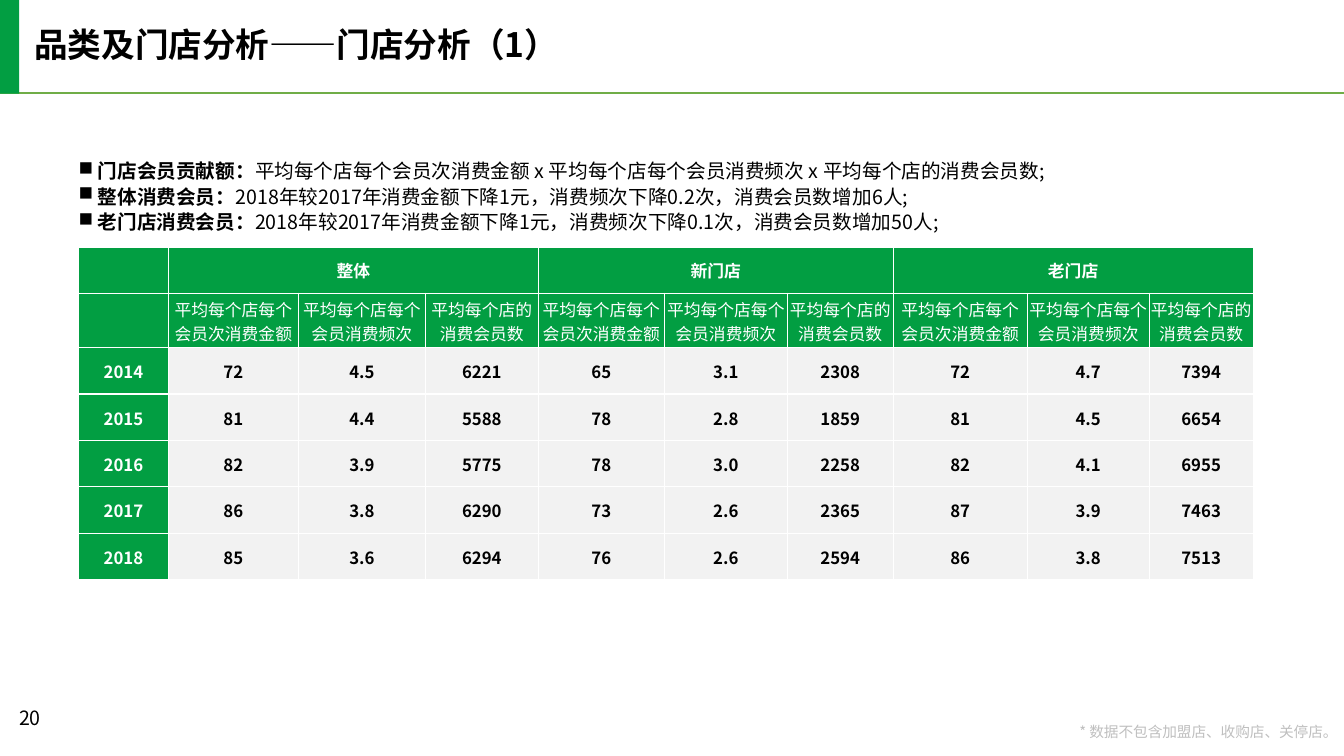
"""Build the store analysis slide with its member spending table."""
from dataclasses import dataclass
from typing import NamedTuple

from lxml.etree import SubElement
from pptx import Presentation
from pptx.dml.color import RGBColor
from pptx.enum.shapes import MSO_CONNECTOR as Connector, MSO_SHAPE as Preset
from pptx.enum.text import MSO_ANCHOR as Anchor, MSO_AUTO_SIZE as AutoSize, PP_ALIGN as Align
from pptx.oxml.ns import qn
from pptx.util import Inches, Pt


@dataclass(frozen=True)
class Theme:
    font: str = "Noto Sans CJK SC"
    green: RGBColor = RGBColor(0x02, 0x9E, 0x42)
    rule: RGBColor = RGBColor(0x70, 0xAD, 0x47)
    pale: RGBColor = RGBColor(0xF2, 0xF2, 0xF2)
    muted: RGBColor = RGBColor(0xBF, 0xBF, 0xBF)
    black: RGBColor = RGBColor(0, 0, 0)
    white: RGBColor = RGBColor(0xFF, 0xFF, 0xFF)
    title_size: float = 24
    body_size: float = 14
    table_size: float = 12
    note_size: float = 10.5


class Box(NamedTuple):
    left: float
    top: float
    width: float
    height: float

    def lengths(self) -> list:
        return [Inches(value) for value in self]


class Label(NamedTuple):
    text: str
    box: Box
    size: float
    color: RGBColor
    bold: bool = False
    align: Align = Align.LEFT
    line_spacing: float = 1.0
    inset: float = 0
    wrap: bool = True


class Finding(NamedTuple):
    heading: str
    detail: str


class YearRow(NamedTuple):
    year: str
    values: str


THEME = Theme()
LABELS = [
    Label("品类及门店分析——门店分析（1）", Box(0.34, 0.28, 6.29, 0.36),
          THEME.title_size, THEME.black, bold=True, line_spacing=0.9),
    Label("* 数据不包含加盟店、收购店、关停店。", Box(10.66, 7.19, 2.61, 0.16),
          THEME.note_size, THEME.muted, align=Align.RIGHT, line_spacing=0.9, wrap=False),
    Label("20", Box(0.09, 6.95, 0.91, 0.4), THEME.body_size, THEME.black, inset=0.1),
]
FINDINGS = [
    Finding("门店会员贡献额：",
            "平均每个店每个会员次消费金额 x 平均每个店每个会员消费频次 x 平均每个店的消费会员数;"),
    Finding("整体消费会员：",
            "2018年较2017年消费金额下降1元，消费频次下降0.2次，消费会员数增加6人;"),
    Finding("老门店消费会员：",
            "2018年较2017年消费金额下降1元，消费频次下降0.1次，消费会员数增加50人;"),
]
GROUPS = ["整体", "新门店", "老门店"]
MEASURES = ["平均每个店每个会员次消费金额", "平均每个店每个会员消费频次", "平均每个店的消费会员数"]
YEARS = [
    YearRow("2014", "72 4.5 6221 65 3.1 2308 72 4.7 7394"),
    YearRow("2015", "81 4.4 5588 78 2.8 1859 81 4.5 6654"),
    YearRow("2016", "82 3.9 5775 78 3.0 2258 82 4.1 6955"),
    YearRow("2017", "86 3.8 6290 73 2.6 2365 87 3.9 7463"),
    YearRow("2018", "85 3.6 6294 76 2.6 2594 86 3.8 7513"),
]
COLUMN_WIDTHS = [0.89, 1.29, 1.26, 1.12, 1.25, 1.22, 1.05, 1.33, 1.21, 1.03]
ROW_HEIGHT, MEASURE_ROW_HEIGHT = 0.46, 0.54


def style_paragraph(paragraph, size: float, color: RGBColor, bold: bool | None = None) -> None:
    """Set the Latin and East Asian font of a whole paragraph."""
    font = paragraph.font
    font.name, font.size, font.bold = THEME.font, Pt(size), bold
    font.color.rgb = color
    defaults = paragraph._p.pPr.find(qn("a:defRPr"))
    SubElement(defaults, qn("a:ea"), typeface=THEME.font)


def add_frame(slide, box: Box, inset: float = 0, wrap: bool = True):
    """Add a text box and return its text frame."""
    frame = slide.shapes.add_textbox(*box.lengths()).text_frame
    frame.word_wrap = wrap
    frame.margin_left = frame.margin_right = Inches(inset)
    frame.margin_top = frame.margin_bottom = Inches(inset / 2)
    return frame


def add_label(slide, label: Label) -> None:
    """Add one line of text."""
    frame = add_frame(slide, label.box, label.inset, label.wrap)
    if not label.wrap:
        frame.auto_size = AutoSize.SHAPE_TO_FIT_TEXT
    paragraph = frame.paragraphs[0]
    paragraph.text = label.text
    paragraph.alignment = label.align
    paragraph.line_spacing = label.line_spacing
    style_paragraph(paragraph, label.size, label.color, label.bold)


def add_header(slide) -> None:
    """Add the green bar and the rule below the title."""
    rule = slide.shapes.add_connector(
        Connector.STRAIGHT, 0, Inches(0.92), Inches(13.33), Inches(0.92))
    rule.line.color.rgb = THEME.rule
    rule.line.width = Pt(1.5)
    SubElement(rule._element.spPr, qn("a:effectLst"))
    bar = slide.shapes.add_shape(Preset.RECTANGLE, *Box(0, -0.01, 0.19, 0.94).lengths())
    bar.shadow.inherit = False
    bar.fill.solid()
    bar.fill.fore_color.rgb = THEME.green
    bar.line.fill.background()


def add_findings(slide) -> None:
    """Add the bulleted findings above the table."""
    frame = add_frame(slide, Box(0.78, 1.56, 11.6, 0.76))
    frame.vertical_anchor = Anchor.MIDDLE
    frame.auto_size = AutoSize.SHAPE_TO_FIT_TEXT
    for index, finding in enumerate(FINDINGS):
        paragraph = frame.add_paragraph() if index else frame.paragraphs[0]
        paragraph.line_spacing = Pt(18)
        properties = paragraph._p.get_or_add_pPr()
        properties.set("marL", str(Inches(0.19)))
        properties.set("indent", str(-Inches(0.19)))
        SubElement(properties, qn("a:buChar"), char="■")
        style_paragraph(paragraph, THEME.body_size, THEME.black)
        for text, bold in zip(finding, (True, False)):
            run = paragraph.add_run()
            run.text = text
            run.font.bold = bold


def fill_cell(cell, text: str, fill: RGBColor, color: RGBColor, bold: bool) -> None:
    """Write a centred cell with white borders."""
    cell.margin_left = cell.margin_right = cell.margin_top = Inches(0.01)
    cell.margin_bottom = 0
    cell.vertical_anchor = Anchor.MIDDLE
    for side in ("a:lnL", "a:lnR", "a:lnT", "a:lnB"):
        border = SubElement(cell._tc.get_or_add_tcPr(), qn(side), w=str(Pt(1)))
        solid = SubElement(border, qn("a:solidFill"))
        SubElement(solid, qn("a:srgbClr"), val=str(THEME.white))
    cell.fill.solid()
    cell.fill.fore_color.rgb = fill
    paragraph = cell.text_frame.paragraphs[0]
    paragraph.text = text
    paragraph.alignment = Align.CENTER
    style_paragraph(paragraph, THEME.table_size, color, bold)


def add_member_table(slide) -> None:
    """Add the table of yearly spending by store group."""
    group_row = [""] + [text for group in GROUPS for text in (group, "", "")]
    rows = [group_row, [""] + MEASURES * len(GROUPS)]
    rows += [[row.year, *row.values.split()] for row in YEARS]
    heights = [ROW_HEIGHT, MEASURE_ROW_HEIGHT] + [ROW_HEIGHT] * len(YEARS)
    box = Box(0.78, 2.45, sum(COLUMN_WIDTHS), sum(heights))
    table = slide.shapes.add_table(len(rows), len(COLUMN_WIDTHS), *box.lengths()).table
    for column, width in zip(table.columns, COLUMN_WIDTHS):
        column.width = Inches(width)
    for row, height in zip(table.rows, heights):
        row.height = Inches(height)
    for row_index, texts in enumerate(rows):
        for column_index, text in enumerate(texts):
            heading = row_index < 2 or column_index == 0
            fill, color = (THEME.green, THEME.white) if heading else (THEME.pale, THEME.black)
            fill_cell(table.cell(row_index, column_index), text, fill, color, row_index != 1)
    for first in range(1, len(COLUMN_WIDTHS), len(MEASURES)):
        table.cell(0, first).merge(table.cell(0, first + len(MEASURES) - 1))


def main() -> None:
    """Build and save the presentation."""
    presentation = Presentation()
    presentation.slide_width, presentation.slide_height = Inches(13.33), Inches(7.5)
    slide = presentation.slides.add_slide(presentation.slide_layouts[6])
    add_header(slide)
    for label in LABELS:
        add_label(slide, label)
    add_member_table(slide)
    add_findings(slide)
    presentation.save("out.pptx")


if __name__ == "__main__":
    main()
